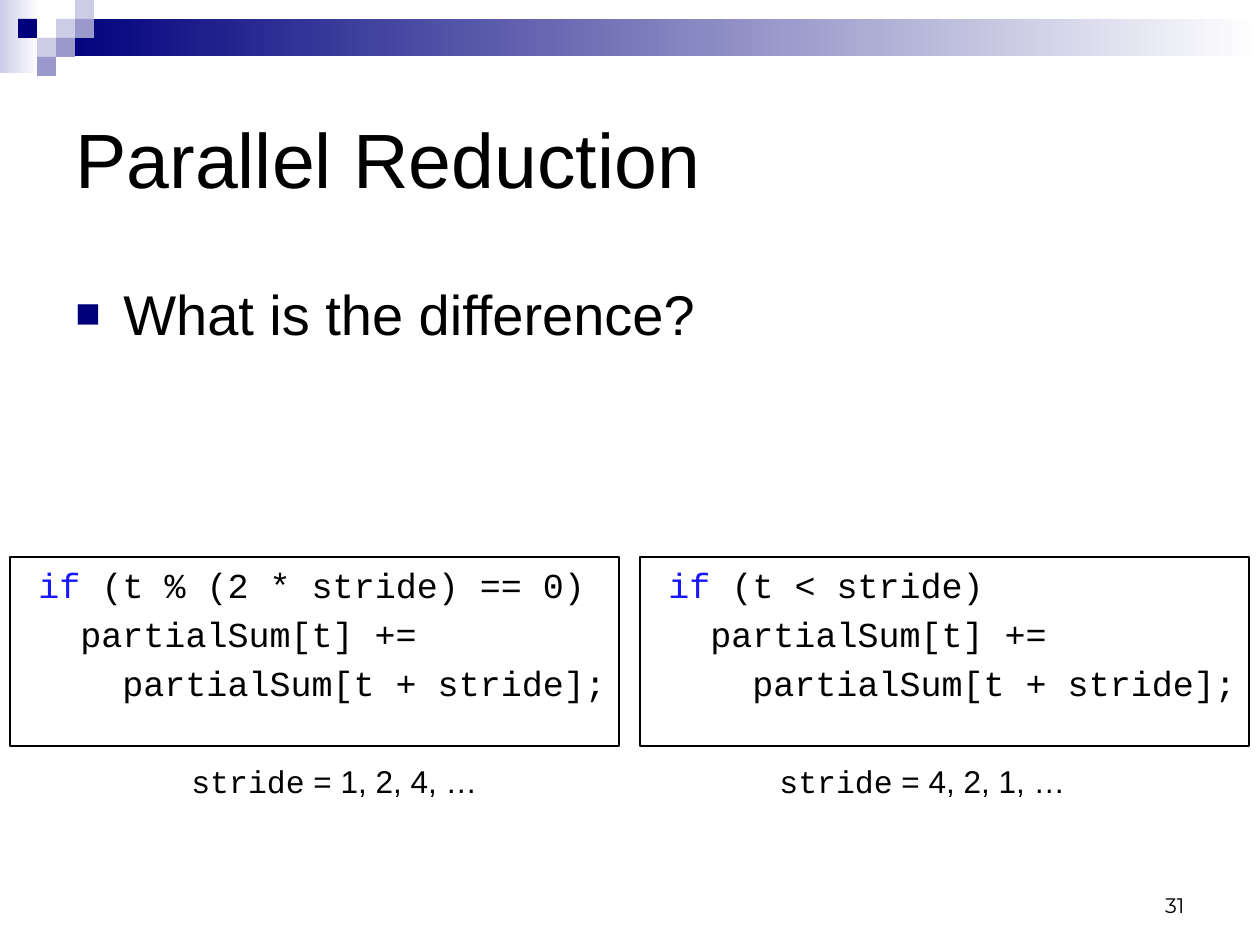
from lxml import etree
from pptx import Presentation
from pptx import util as u
from pptx.dml.color import RGBColor
from pptx.enum import shapes, text
from pptx.oxml.ns import qn

SCALE = 914400 / 126
NAVY, LAVENDER, VIOLET = "00007D", "CCCCE6", "9999CC"
BLACK, WHITE, KEYWORD = "000000", "FFFFFF", "1818FF"
SANS, MONO, NUMBER = "Arial", "Courier New", "Montserrat"


def px(n):
    return round(n * SCALE)


def rgb(code):
    return RGBColor.from_string(code)


def add_rect(s, box, fill=None, gradient=None, line=None):
    sp = s.shapes.add_shape(shapes.MSO_SHAPE.RECTANGLE, *map(px, box))
    sp.shadow.inherit = False
    if gradient:
        sp.fill.gradient()
        sp.fill.gradient_angle = 0
        for stop, position, color in zip(sp.fill.gradient_stops, (0, 1), gradient):
            stop.position = position
            stop.color.rgb = rgb(color)
    elif fill:
        sp.fill.solid()
        sp.fill.fore_color.rgb = rgb(fill)
    else:
        sp.fill.background()
    if line:
        sp.line.color.rgb = rgb(line)
        sp.line.width = u.Pt(0.75)
    else:
        sp.line.fill.background()
    return sp


def add_run(p, words, size, font=SANS, color=BLACK):
    r = p.add_run()
    r.text = words
    for name, value in {"size": u.Pt(size), "name": font}.items():
        setattr(r.font, name, value)
    r.font.color.rgb = rgb(color)


def add_text(s, box, runs, anchor=text.MSO_ANCHOR.TOP, align=text.PP_ALIGN.LEFT, wrap=True):
    """Add a one-paragraph text box and return the paragraph."""
    tf = s.shapes.add_textbox(*map(px, box)).text_frame
    tf.word_wrap = wrap
    tf.vertical_anchor = anchor
    p = tf.paragraphs[0]
    p.alignment = align
    for run in runs:
        add_run(p, *run)
    return p


def set_layout(p, left, hanging=0, bullet=None):
    """Set indents, 20% space before and an optional square bullet."""
    props = p._p.get_or_add_pPr()
    props.set("marL", str(px(left)))
    props.set("indent", str(-px(hanging)))
    before = etree.SubElement(props, qn("a:spcBef"))
    etree.SubElement(before, qn("a:spcPct")).set("val", "20000")
    if bullet:
        color = etree.SubElement(props, qn("a:buClr"))
        etree.SubElement(color, qn("a:srgbClr")).set("val", bullet)
        etree.SubElement(props, qn("a:buSzPct")).set("val", "75000")
        etree.SubElement(props, qn("a:buFont")).set("typeface", SANS)
        etree.SubElement(props, qn("a:buChar")).set("char", "■")


def banner(s, left, top, width):
    cell = 19
    add_rect(s, (left, top, 39, 73), gradient=(LAVENDER, WHITE))
    add_rect(s, (left + 3 * cell, top + cell, width - 3 * cell, 37), gradient=(NAVY, WHITE))
    squares = [(3, 1, LAVENDER), (4, 0, LAVENDER), (4, 1, VIOLET), (2, 2, LAVENDER),
               (1, 1, NAVY), (3, 2, VIOLET), (2, 3, VIOLET)]
    for col, row, color in squares:
        add_rect(s, (left + col * cell - 1, top + row * cell, cell, cell), fill=color)


def heading(s, left, top, width):
    add_text(s, (left, top, width, 189), [("Parallel Reduction", 44)],
             anchor=text.MSO_ANCHOR.MIDDLE)
    p = add_text(s, (left, top + 210, width, 147), [("What is the difference?", 32)])
    set_layout(p, 48, hanging=48, bullet=NAVY)


def code_panel(s, left, top, condition, caption_left, strides):
    """Draw a framed code sample with its stride sequence below."""
    indent = 42
    tf = add_rect(s, (left, top, 609, 189), line=BLACK).text_frame
    tf.word_wrap = True
    tf.vertical_anchor = text.MSO_ANCHOR.TOP
    lines = [[("if", 20, MONO, KEYWORD), (f" ({condition})", 20, MONO)],
             [("partialSum[t] +=", 20, MONO)],
             [("partialSum[t + stride];", 20, MONO)]]
    for level, runs in enumerate(lines):
        p = tf.add_paragraph() if level else tf.paragraphs[0]
        p.alignment = text.PP_ALIGN.LEFT
        set_layout(p, 16 + level * indent)
        for run in runs:
            add_run(p, *run)
    add_text(s, (left + caption_left, top + 199, 314, 50),
             [("stride", 18, MONO), (f" = {strides}, …", 18)], wrap=False)


def page_number(s, left, top):
    add_text(s, (left, top, 294, 63), [("31", 12, NUMBER)],
             anchor=text.MSO_ANCHOR.BOTTOM, align=text.PP_ALIGN.RIGHT)


def main():
    prs = Presentation()
    prs.slide_width, prs.slide_height = px(1260), px(945)
    s = prs.slides.add_slide(prs.slide_layouts[6])
    banner(s, 0, 0, 1260)
    heading(s, 63, 63, 1134)
    code_panel(s, 10, 557, "t % (2 * stride) == 0", 169, "1, 2, 4")
    code_panel(s, 640, 557, "t < stride", 127, "4, 2, 1")
    page_number(s, 903, 861)
    prs.save("out.pptx")


if __name__ == "__main__":
    main()
